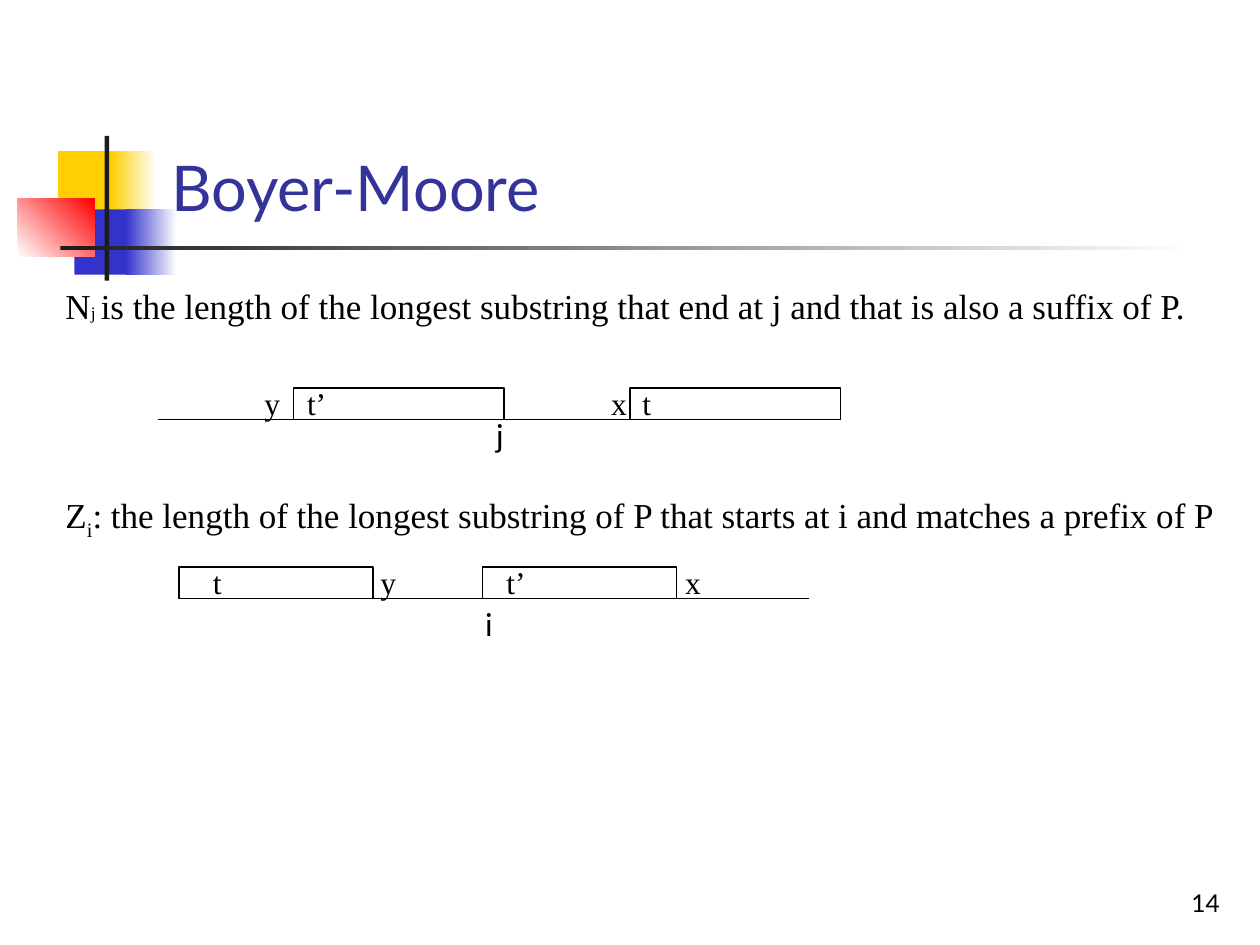
from lxml.etree import SubElement
from pptx import Presentation
from pptx.dml.color import RGBColor
from pptx.enum.shapes import MSO_CONNECTOR, MSO_SHAPE
from pptx.enum.text import MSO_ANCHOR, MSO_AUTO_SIZE, PP_ALIGN
from pptx.oxml.ns import qn
from pptx.util import Cm, Pt

BLACK = RGBColor(0x00, 0x00, 0x00)
WHITE = RGBColor(0xFF, 0xFF, 0xFF)
CHARCOAL = RGBColor(0x1C, 0x1C, 0x1C)
YELLOW = RGBColor(0xFF, 0xCF, 0x01)
BLUE = RGBColor(0x33, 0x33, 0xCC)
RED = RGBColor(0xFF, 0x00, 0x00)
INDIGO = RGBColor(0x33, 0x33, 0x99)

SANS = "Lato"
SERIF = "Times New Roman"
SEGMENT_HEIGHT = 0.64
LABEL_HEIGHT = 1.02
LABEL_LIFT = 0.2
LABEL_WIDTHS = {"t": 0.69, "t’": 0.89, "x": 0.81, "y": 0.81, "i": 0.66, "j": 0.66}


def apply_format(target, values):
    """Set each named attribute of the target."""
    for name, value in values.items():
        setattr(target, name, value)


def add_block(slide, place, start, end=None, angle=0):
    """Add a borderless rectangle, plain or fading from start to end."""
    block = slide.shapes.add_shape(MSO_SHAPE.RECTANGLE, *map(Cm, place))
    block.shadow.inherit = False
    block.line.fill.background()
    if end is None:
        block.fill.solid()
        block.fill.fore_color.rgb = start
        return
    block.fill.gradient()
    block.fill.gradient_angle = angle
    for stop, color in zip(block.fill.gradient_stops, (start, end)):
        stop.color.rgb = color


def add_text(slide, place, runs, font, size, color=BLACK, align=PP_ALIGN.LEFT, **frame_format):
    """Add one paragraph made of (text, size, baseline) runs or a plain string."""
    frame = slide.shapes.add_textbox(*map(Cm, place)).text_frame
    apply_format(frame, {"word_wrap": True, **frame_format})
    paragraph = frame.paragraphs[0]
    paragraph.alignment = align
    if isinstance(runs, str):
        runs = [(runs, size, 0)]
    for text, run_size, baseline in runs:
        run = paragraph.add_run()
        run.text = text
        apply_format(run.font, {"name": font, "size": Pt(run_size)})
        run.font.color.rgb = color
        if baseline:
            run.font._element.set("baseline", str(baseline))


def add_label(slide, left, top, text, font=SERIF):
    """Add a short unwrapped diagram label."""
    add_text(slide, (left, top, LABEL_WIDTHS[text], LABEL_HEIGHT), text, font, 18,
             word_wrap=False, auto_size=MSO_AUTO_SIZE.SHAPE_TO_FIT_TEXT)


def add_baseline(slide, left, right, y):
    """Add the thin line that stands for the whole string P."""
    baseline = slide.shapes.add_connector(
        MSO_CONNECTOR.STRAIGHT, Cm(left), Cm(y), Cm(right), Cm(y))
    apply_format(baseline.line, {"width": Pt(0.75)})
    baseline.line.color.rgb = BLACK
    SubElement(baseline._element.spPr, qn("a:effectLst"))


def add_segment(slide, left, top, width):
    """Add the outline of a matching substring."""
    segment = slide.shapes.add_shape(
        MSO_SHAPE.FLOWCHART_PROCESS, Cm(left), Cm(top), Cm(width), Cm(SEGMENT_HEIGHT))
    segment.shadow.inherit = False
    segment.fill.background()
    segment.line.width = Pt(0.75)
    segment.line.color.rgb = BLACK


def add_string_diagram(slide, top, ends, segment_width, segment_lefts, labels, index):
    """Add a string line with its substrings, letters and index mark."""
    add_baseline(slide, *ends, top + SEGMENT_HEIGHT)
    for left in segment_lefts:
        add_segment(slide, left, top, segment_width)
    for text, left in labels.items():
        add_label(slide, left, top - LABEL_LIFT, text)
    add_label(slide, *index, SANS)


def add_ornament(slide):
    """Add the coloured blocks and rules beside the title."""
    add_block(slide, (1.17, 3.05, 1.22, 1.32), YELLOW)
    add_block(slide, (2.24, 3.05, 0.91, 1.32), YELLOW, WHITE)
    add_block(slide, (1.5, 4.22, 1.17, 1.32), BLUE)
    add_block(slide, (2.54, 4.22, 1.02, 1.32), BLUE, WHITE)
    add_block(slide, (0.36, 4.01, 1.55, 1.17), WHITE, RED, 45)
    add_block(slide, (2.11, 2.74, 0.09, 2.92), CHARCOAL)
    add_block(slide, (1.22, 4.95, 22.86, 0.09), CHARCOAL, WHITE)


def main():
    """Build the Boyer-Moore slide."""
    deck = Presentation()
    apply_format(deck, {"slide_width": Cm(25.4), "slide_height": Cm(19.05)})
    slide = deck.slides.add_slide(deck.slide_layouts[6])
    add_ornament(slide)
    add_text(slide, (19.56, 17.35, 5.28, 1.27), "14", SANS, 14,
             align=PP_ALIGN.RIGHT, vertical_anchor=MSO_ANCHOR.BOTTOM)
    add_text(slide, (3.2, 0.58, 21.64, 4.06), "Boyer-Moore", SANS, 36, INDIGO,
             vertical_anchor=MSO_ANCHOR.BOTTOM)
    suffix_rule = [
        ("N", 20, 0), ("j", 10, 0), (" ", 20, -25000),
        ("is the length of the longest substring that end at j"
         " and that is also a suffix of P.", 20, 0)]
    prefix_rule = [
        ("Z", 20, 0), ("i", 20, -25000),
        (": the length of the longest substring of P that starts at i"
         " and matches a prefix of P", 20, 0)]
    for top, rule in ((5.61, suffix_rule), (9.83, prefix_rule)):
        add_text(slide, (1.07, top, 23.83, 1.1), rule, SERIF, 20)
    add_string_diagram(slide, 7.82, (3.18, 16.94), 4.24, (5.92, 12.7),
                       {"y": 5.08, "t’": 5.94, "x": 12.07, "t": 12.7}, (9.75, 8.26, "j"))
    add_string_diagram(slide, 11.43, (3.61, 16.31), 3.91, (3.61, 9.73),
                       {"t": 4.04, "y": 7.42, "t’": 9.96, "x": 13.56}, (9.53, 12.07, "i"))
    deck.save("out.pptx")


if __name__ == "__main__":
    main()
